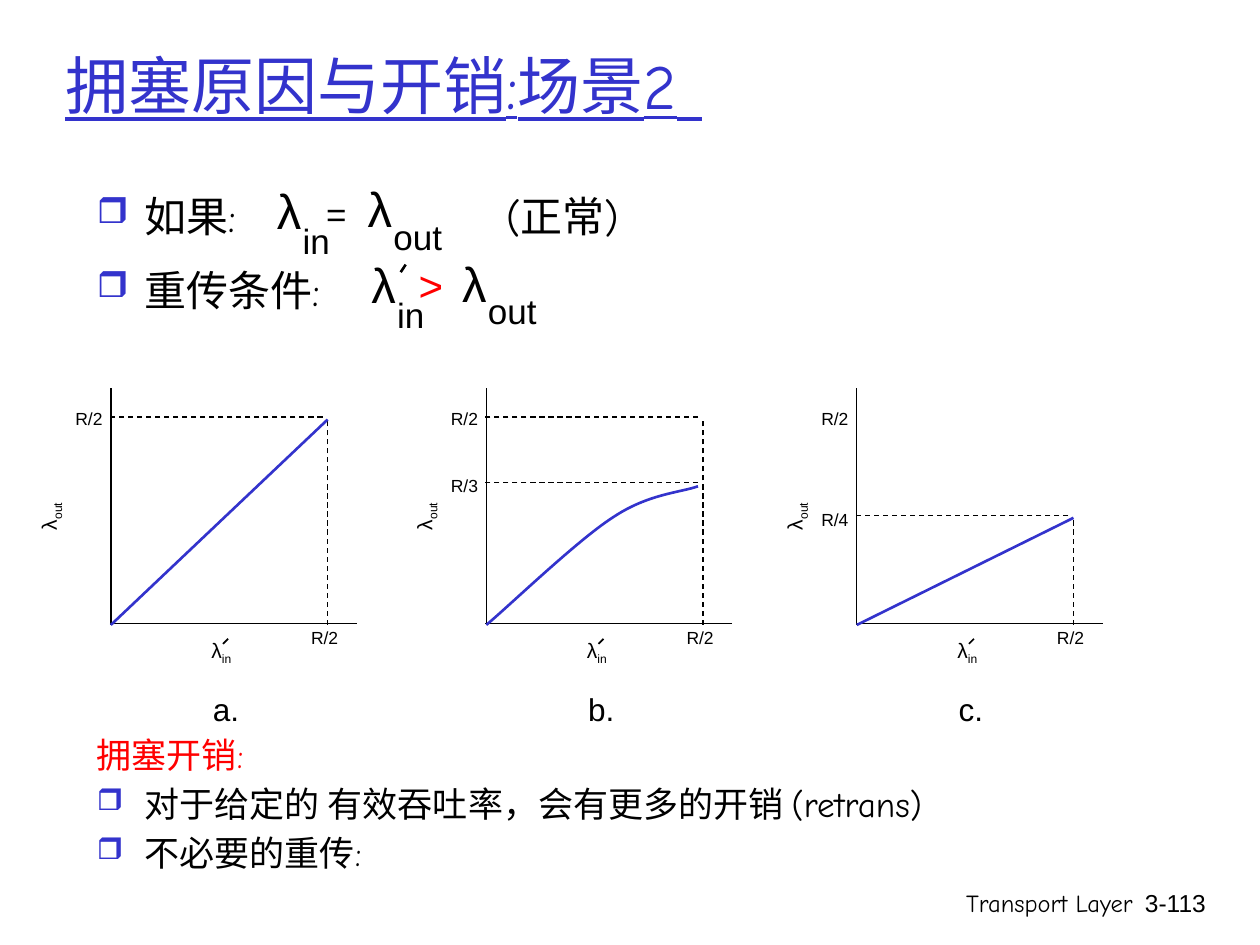
from lxml.etree import SubElement
from pptx import Presentation
from pptx.dml.color import RGBColor as Rgb
from pptx.enum.dml import MSO_LINE as Dash
from pptx.enum.shapes import MSO_CONNECTOR as Link
from pptx.enum.text import MSO_ANCHOR as Anchor, MSO_AUTO_SIZE as Auto, PP_ALIGN as Align
from pptx.oxml.ns import qn
from pptx.util import Inches, Pt

THEME = {
    "ink": "000000", "blue": "3333CC", "red": "FF0000",
    "sans": "Arial", "hand": "Comic Neue",
    "title": 36, "tail": 44, "body": 24, "cost": 20, "foot": 14,
    "big": 28, "sub": 20, "tick": 10, "axis": 12, "name": 18,
    "thin": 0.75, "mark": 1, "bold": 1.5,
}

TITLE = "拥塞原因与开销:场景2"
RULES = [
    [("如果:\t(正常)", {"bullet": "❒", "tab": 3.25})],
    [("重传条件:", {"bullet": "❒", "gap": 1.3})],
]
COSTS = [
    [("拥塞开销:", {"color": "red"})],
    [("对于给定的 有效吞吐率，会有更多的开销 (retrans)", {"bullet": "❒"})],
    [("不必要的重传:", {"bullet": "❒"})],
]
FEET = [("Transport Layer", 5.92, 3.17, "hand"), ("3-113", 8.93, 0.74, "sans")]
TERMS = [
    ("λ", 0, 0.01, 0.41, 0.57, "big"),
    ("in", 0.21, 0.32, 0.42, 0.43, "sub"),
    ("λ", 0.72, 0, 0.41, 0.57, "big"),
    ("out", 0.93, 0.29, 0.59, 0.43, "sub"),
]
SIGNS = [
    (2.09, 1.37, ("=", 0.4, 0.11, 0.36, 0.43, "sub"), "ink", None),
    (2.84, 1.96, (">", 0.38, 0.05, 0.4, 0.5, "body"), "red", (3.18, 2.16, 3.22, 2.1)),
]
BEND = [(0, 4.96), (0.17, 4.82), (0.72, 4.29), (1, 4.11),
        (1.28, 3.92), (1.54, 3.91), (1.68, 3.86)]
PLOTS = [
    {"name": "b.", "left": 3.86, "ticks": [("R/2", 3.19), ("R/3", 3.72)],
     "rows": [3.31, 3.83], "top": 3.34, "curve": BEND},
    {"name": "a.", "left": 0.88, "ticks": [("R/2", 3.19)],
     "rows": [3.31], "top": 3.34, "end": 3.33},
    {"name": "c.", "left": 6.8, "ticks": [("R/2", 3.19), ("R/4", 3.99)],
     "rows": [4.09], "top": 4.12, "end": 4.11},
]


def shade(key):
    return Rgb.from_string(THEME[key])


def style(para, fmt):
    para.alignment = fmt.get("align")
    if fmt.get("gap"):
        para.line_spacing = fmt["gap"]
    props = para._p.get_or_add_pPr()
    if fmt.get("hang"):
        props.set("marL", str(Inches(fmt["hang"])))
        props.set("indent", str(-Inches(fmt["hang"])))
        space = SubElement(props, qn("a:spcBef"))
        SubElement(space, qn("a:spcPct"), val="20000")
    if fmt.get("bullet"):
        tint = SubElement(props, qn("a:buClr"))
        SubElement(tint, qn("a:srgbClr"), val=THEME["blue"])
        SubElement(props, qn("a:buSzPct"), val="85000")
        SubElement(props, qn("a:buChar"), char=fmt["bullet"])
    else:
        SubElement(props, qn("a:buNone"))
    if fmt.get("tab"):
        tabs = SubElement(props, qn("a:tabLst"))
        SubElement(tabs, qn("a:tab"), pos=str(Inches(fmt["tab"])), algn="l")


def text(host, at, paras, **fmt):
    box = host.add_textbox(*map(Inches, at))
    box.rotation = fmt.get("turn", 0)
    frame = box.text_frame
    frame.word_wrap = fmt.get("wrap", False)
    frame.auto_size = Auto.SHAPE_TO_FIT_TEXT if fmt.get("grow", True) else Auto.NONE
    frame.vertical_anchor = fmt.get("anchor", Anchor.TOP)
    if isinstance(paras, str):
        paras = [[(paras, {})]]
    for i, runs in enumerate(paras):
        para = frame.paragraphs[0] if i == 0 else frame.add_paragraph()
        style(para, {**fmt, **runs[0][1]})
        for words, extra in runs:
            look = {"color": "ink", "font": "sans", **fmt, **extra}
            run = para.add_run()
            run.text = words
            run.font.name = THEME[look["font"]]
            run.font.size = Pt(THEME[look["size"]])
            run.font.color.rgb = shade(look["color"])
            run.font.underline = look.get("under")
            if look.get("base"):
                run.font._element.set("baseline", str(look["base"] * 1000))
    return box


def pen(item, color, width, dash=False):
    item.line.color.rgb = shade(color)
    item.line.width = Pt(THEME[width])
    if dash:
        item.line.dash_style = Dash.DASH


def line(host, ends, color="ink", width="thin", dash=False):
    link = host.add_connector(Link.STRAIGHT, *map(Inches, ends))
    pen(link, color, width, dash)
    SubElement(link._element.spPr, qn("a:effectLst"))


def curve(host, left, knots):
    spots = [(Inches(left + x), Inches(y)) for x, y in knots]
    form = host.build_freeform(*spots[0])
    form.add_line_segments(spots[1:], close=False)
    shape = form.convert_to_shape()
    shape.shadow.inherit = False
    shape.fill.background()
    pen(shape, "blue", "bold")
    track = next(shape._element.iter(qn("a:path")))
    legs = track.findall(qn("a:lnTo"))
    for i in range(0, len(legs), 3):
        arc = SubElement(track, qn("a:cubicBezTo"))
        for leg in legs[i:i + 3]:
            arc.append(leg[0])
            track.remove(leg)


def plot(host, data):
    x = data["left"]
    line(host, (x, 3.08, x, 4.96))
    line(host, (x + 1.95, 4.95, x - 0.01, 4.95))
    for y in data["rows"]:
        line(host, (x + 1.68, y, x - 0.01, y), dash=True)
    line(host, (x + 1.72, 4.96, x + 1.72, data["top"]), dash=True)
    if "curve" in data:
        curve(host, x, data["curve"])
    else:
        line(host, (x, 4.96, x + 1.72, data["end"]), "blue", "bold")
    for label, y in data["ticks"]:
        text(host, (x - 0.38, y, 0.42, 0.27), label, size="tick")
    text(host, (x + 1.49, 4.93, 0.42, 0.27), "R/2", size="tick")
    for sub, at, turn in (("in", (x + 0.7, 5.01, 0.38, 0.3), 0),
                          ("out", (x - 0.72, 3.93, 0.45, 0.3), 270)):
        text(host, at, [[("λ", {}), (sub, {"base": -25})]],
             size="axis", turn=turn, wrap=turn > 0)
    line(host, (x + 0.89, 5.11, x + 0.93, 5.07), width="mark")
    text(host, (x + 0.71, 5.43, 0.41, 0.4), data["name"], size="name")


def main():
    """Build the congestion scenario slide."""
    deck = Presentation()
    deck.slide_width, deck.slide_height = Inches(10), Inches(7.5)
    root = deck.slides.add_slide(deck.slide_layouts[6]).shapes
    for words, x, wide, font in FEET:
        text(root, (x, 7, wide, 0.5), words, size="foot", font=font,
             align=Align.RIGHT, wrap=True, grow=False)
    text(root, (0.42, 0, 8.5, 1.25), [[(TITLE, {}), (" ", {"size": "tail"})]],
         size="title", font="hand", color="blue", under=True,
         anchor=Anchor.MIDDLE, wrap=True, grow=False)
    block = {"font": "hand", "hang": 0.38, "wrap": True, "grow": False}
    text(root, (0.67, 1.46, 9.11, 1.55), RULES, size="body", **block)
    for x, y, sign, color, prime in SIGNS:
        group = root.add_group_shape().shapes
        for term in TERMS + [sign]:
            words, dx, dy, wide, high, size = term
            text(group, (x + dx, y + dy, wide, high), words, size=size,
                 align=Align.CENTER, color=color if term is sign else "ink")
        if prime:
            line(group, prime, width="bold")
    text(root, (0.67, 5.77, 8.91, 1.08), COSTS, size="cost", **block)
    group = root.add_group_shape().shapes
    for data in PLOTS:
        plot(group, data)
    deck.save("out.pptx")


if __name__ == "__main__":
    main()
